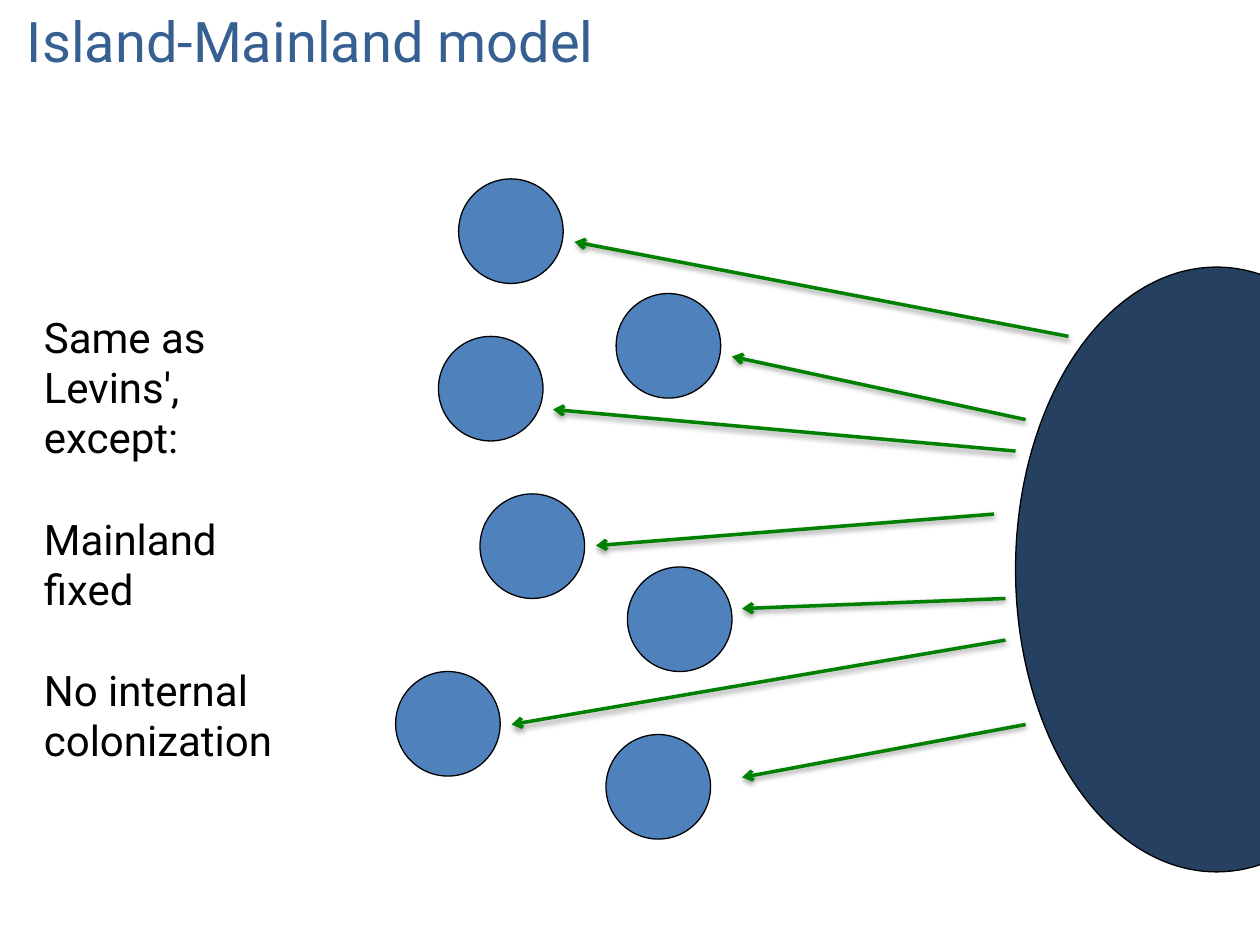
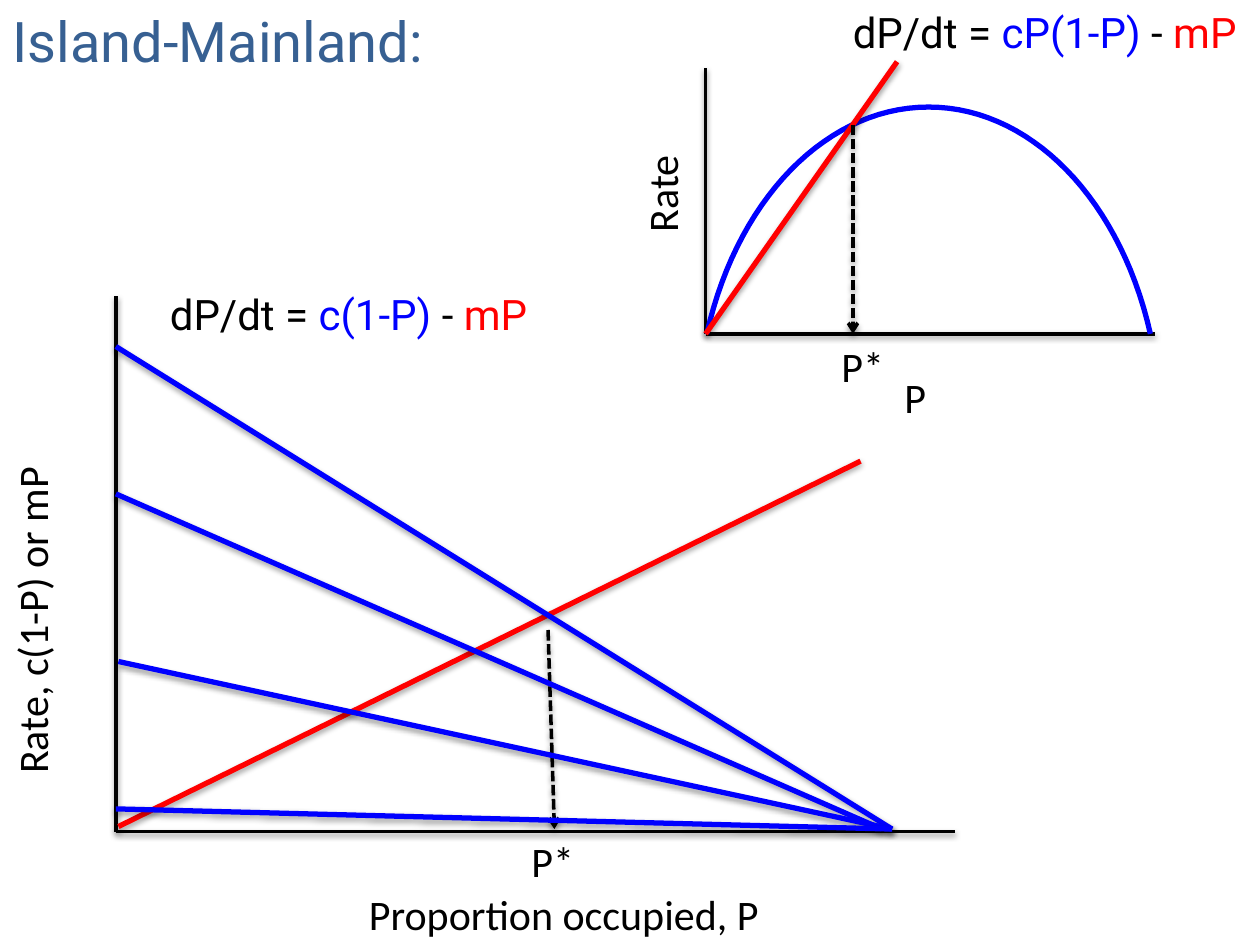
import lxml.etree
import pptx
import pptx.dml.color
import pptx.enum.dml
import pptx.enum.shapes
import pptx.enum.text
import pptx.oxml.ns
import pptx.util

Inches = pptx.util.Inches
Pt = pptx.util.Pt
RGBColor = pptx.dml.color.RGBColor
Align = pptx.enum.text.PP_ALIGN
qn = pptx.oxml.ns.qn

BLACK = RGBColor(0x00, 0x00, 0x00)
TITLE_BLUE = RGBColor(0x37, 0x60, 0x92)
ISLAND_BLUE = RGBColor(0x4F, 0x81, 0xBD)
MAINLAND_NAVY = RGBColor(0x25, 0x40, 0x61)
ARROW_GREEN = RGBColor(0x00, 0x80, 0x00)
COLONIZATION = RGBColor(0x00, 0x00, 0xFF)
EXTINCTION = RGBColor(0xFF, 0x00, 0x00)

TITLE_FONT = {"name": "Roboto", "size": Pt(32)}
BODY_FONT = {"name": "Roboto", "size": Pt(24)}
LABEL_FONT = {"name": "Calibri", "size": Pt(24)}


def apply(target, values):
    for name, value in values.items():
        setattr(target, name, value)


def place(shape, left, top, width, height):
    sides = {"left": left, "top": top, "width": width, "height": height}
    apply(shape, {name: Inches(length) for name, length in sides.items()})


def bezier(start, first, second, end, steps=30):
    """Points along a cubic curve, both ends included."""
    for step in range(steps + 1):
        t = step / steps
        weights = ((1 - t) ** 3, 3 * t * (1 - t) ** 2, 3 * t * t * (1 - t), t ** 3)
        yield tuple(sum(w * p for w, p in zip(weights, axis))
                    for axis in zip(start, first, second, end))


class Painter:
    """Keeps the deck style and draws on the current page."""

    def __init__(self, deck):
        self.deck = deck
        self.page = None

    def new_page(self, title, box, align=Align.LEFT, wrap=True):
        self.page = self.deck.slides.add_slide(self.deck.slide_layouts[5])
        heading = self.page.shapes.title
        place(heading, *box)
        self.fill_text(heading, [[(title, TITLE_BLUE)]], TITLE_FONT, align, wrap)

    def fill_text(self, shape, paragraphs, font, align=Align.LEFT, wrap=True, gap=0):
        frame = shape.text_frame
        apply(frame, {
            "word_wrap": wrap,
            "auto_size": pptx.enum.text.MSO_AUTO_SIZE.SHAPE_TO_FIT_TEXT,
            "vertical_anchor": pptx.enum.text.MSO_ANCHOR.TOP,
        })
        for index, spans in enumerate(paragraphs):
            para = frame.add_paragraph() if index else frame.paragraphs[0]
            apply(para, {"alignment": align, "space_before": Pt(gap if index else 0)})
            for text, color in spans:
                span = para.add_run()
                span.text = text
                apply(span.font, font)
                span.font.color.rgb = color

    def text(self, paragraphs, box, font=LABEL_FONT, rotation=0, **options):
        shape = self.page.shapes.add_textbox(*map(Inches, box))
        shape.rotation = rotation
        self.fill_text(shape, paragraphs, font, **options)

    def label(self, text, box, rotation=0):
        self.text([[(text, BLACK)]], box, rotation=rotation)

    def equation(self, gain, box):
        spans = [("dP/dt = ", BLACK), (gain, COLONIZATION),
                 (" - ", BLACK), ("mP", EXTINCTION)]
        self.text([spans], box, BODY_FONT, wrap=False)

    def ellipse(self, left, top, width, height, color):
        shape = self.page.shapes.add_shape(
            pptx.enum.shapes.MSO_SHAPE.OVAL, *map(Inches, (left, top, width, height)))
        shape.shadow.inherit = False
        shape.fill.solid()
        shape.fill.fore_color.rgb = color
        self.outline(shape, BLACK, 0.75)

    def outline(self, shape, color, width):
        shape.line.color.rgb = color
        shape.line.width = Pt(width)

    def line(self, start, end, color=BLACK, width=2, arrow=False, dashed=False):
        connector = self.page.shapes.add_connector(
            pptx.enum.shapes.MSO_CONNECTOR.STRAIGHT, *map(Inches, (*start, *end)))
        self.outline(connector, color, width)
        if dashed:
            connector.line.dash_style = pptx.enum.dml.MSO_LINE.SQUARE_DOT
        properties = connector.element.spPr
        if arrow:
            lxml.etree.SubElement(properties.find(qn("a:ln")), qn("a:tailEnd"), type="arrow")
        # Soft shadow straight below the line
        effects = lxml.etree.SubElement(properties, qn("a:effectLst"))
        shadow = lxml.etree.SubElement(effects, qn("a:outerShdw"), blurRad="40000",
                                       dist="20000", dir="5400000", rotWithShape="0")
        tint = lxml.etree.SubElement(shadow, qn("a:srgbClr"), val=str(BLACK))
        lxml.etree.SubElement(tint, qn("a:alpha"), val="38000")

    def curve(self, points, color, width):
        corners = [(Inches(x), Inches(y)) for x, y in points]
        builder = self.page.shapes.build_freeform(*corners[0])
        builder.add_line_segments(corners[1:], close=False)
        shape = builder.convert_to_shape()
        shape.shadow.inherit = False
        shape.fill.background()
        self.outline(shape, color, width)


def draw_model(painter):
    painter.new_page("Island-Mainland model", (0.02, 0, 4.89, 0.64), Align.CENTER, False)

    # Islands and mainland
    island_size = 0.83
    islands = [(3.64, 1.42), (4.89, 2.33), (3.48, 2.67), (3.81, 3.92),
               (4.98, 4.5), (3.14, 5.33), (4.81, 5.83)]
    for left, top in islands:
        painter.ellipse(left, top, island_size, island_size, ISLAND_BLUE)
    painter.ellipse(8.06, 2.12, 3.19, 4.8, MAINLAND_NAVY)

    # Colonization from the mainland
    colonizations = [((8.48, 2.67), (4.56, 1.92)), ((8.14, 3.33), (5.81, 2.83)),
                     ((8.06, 3.58), (4.39, 3.25)), ((7.89, 4.08), (4.73, 4.33)),
                     ((7.98, 4.75), (5.89, 4.83)), ((7.98, 5.08), (4.06, 5.75)),
                     ((8.14, 5.75), (5.89, 6.17))]
    for start, end in colonizations:
        painter.line(start, end, ARROW_GREEN, arrow=True)

    # Assumptions
    assumptions = ["Same as Levins', except:", "Mainland fixed", "No internal colonization"]
    painter.text([[(text, BLACK)] for text in assumptions], (0.25, 2.42, 2.17, 3.74),
                 BODY_FONT, gap=29)


def draw_rates(painter):
    painter.new_page("Island-Mainland:", (0, 0, 9.18, 0.64))

    # Small graph: internal colonization
    origin = (5.6, 2.65)
    painter.label("P", (7.08, 2.9, 0.43, 0.41))
    painter.line((5.6, 0.54), origin)
    painter.line(origin, (9.17, 2.65))
    painter.label("Rate", (4.67, 1.2, 1.07, 0.41), rotation=270)
    peak = 7.37
    rise = list(bezier((5.61, 2.65), (5.85, 1.58), (6.56, 0.85), (peak, 0.85)))
    fall = [(2 * peak - x, y) for x, y in reversed(rise[:-1])]
    painter.curve(rise + fall, COLONIZATION, 3)
    painter.line(origin, (7.12, 0.49), EXTINCTION, 3)
    painter.equation("cP(1-P)", (6.67, 0, 3.26, 0.5))
    painter.line((6.77, 0.99), (6.77, 2.65), arrow=True, dashed=True)
    painter.label("P*", (6.58, 2.65, 0.71, 0.41))

    # Large graph: colonization from the mainland
    origin = (0.92, 6.6)
    painter.label("Proportion occupied, P", (2.83, 7, 4, 0.5))
    painter.label("Rate, c(1-P) or mP", (-1.75, 3.99, 4, 0.5), rotation=270)
    painter.equation("c(1-P)", (1.25, 2.24, 3.06, 0.5))
    painter.line((4.35, 5), (4.4, 6.58), arrow=True, dashed=True)
    painter.label("P*", (4.12, 6.58, 0.67, 0.5))
    painter.line((0.92, 2.35), origin)
    painter.line(origin, (7.58, 6.6))
    painter.line((0.94, 6.56), (6.83, 3.66), EXTINCTION, 3)
    for start, end_x in [((0.92, 2.75), 7.08), ((0.92, 3.92), 7),
                         ((0.94, 5.25), 7.08), ((0.92, 6.42), 7.08)]:
        painter.line(start, (end_x, 6.58), COLONIZATION, 3)


def main():
    deck = pptx.Presentation()
    apply(deck, {"slide_width": Inches(10), "slide_height": Inches(7.5)})
    painter = Painter(deck)
    draw_model(painter)
    draw_rates(painter)
    deck.save("out.pptx")


if __name__ == "__main__":
    main()
